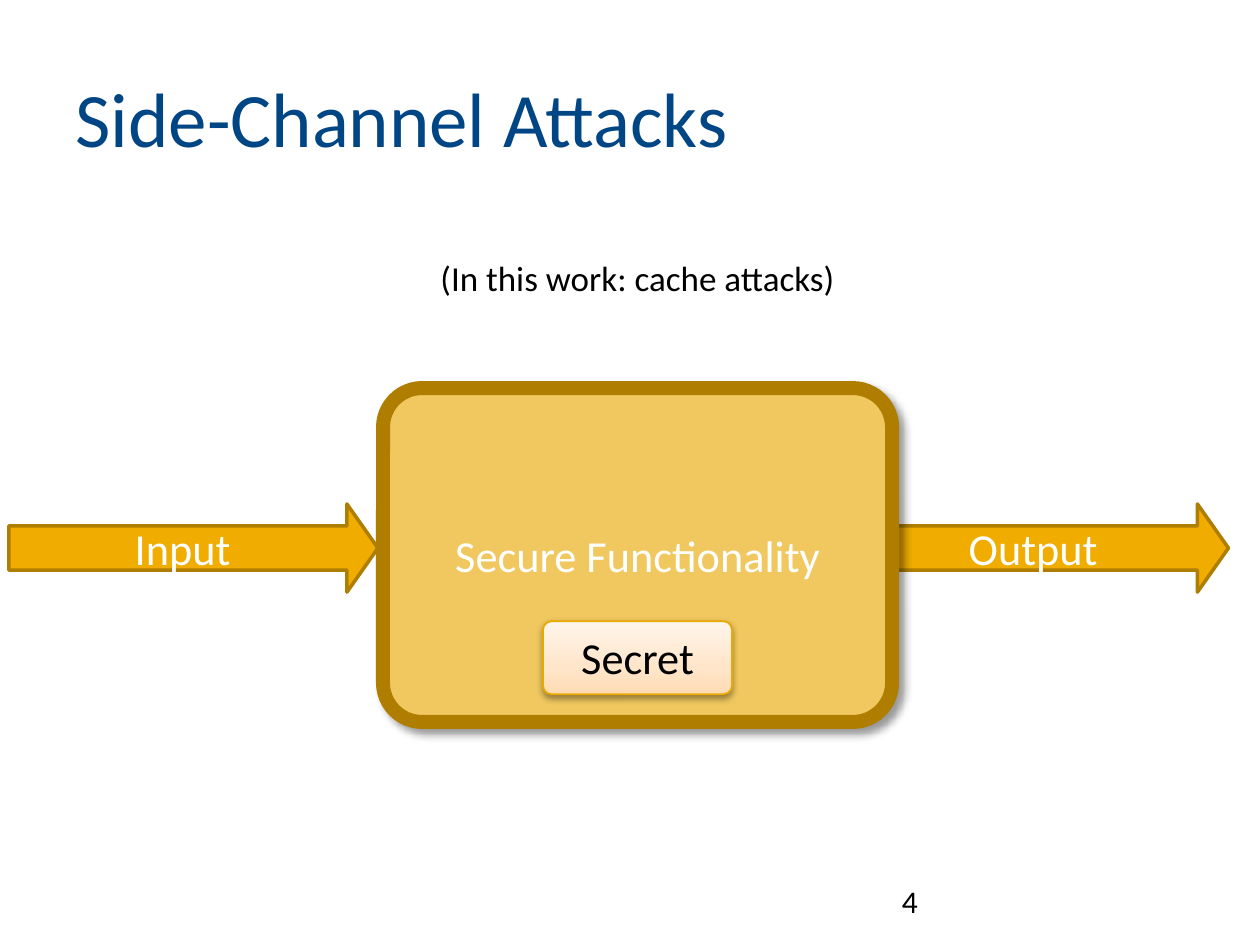
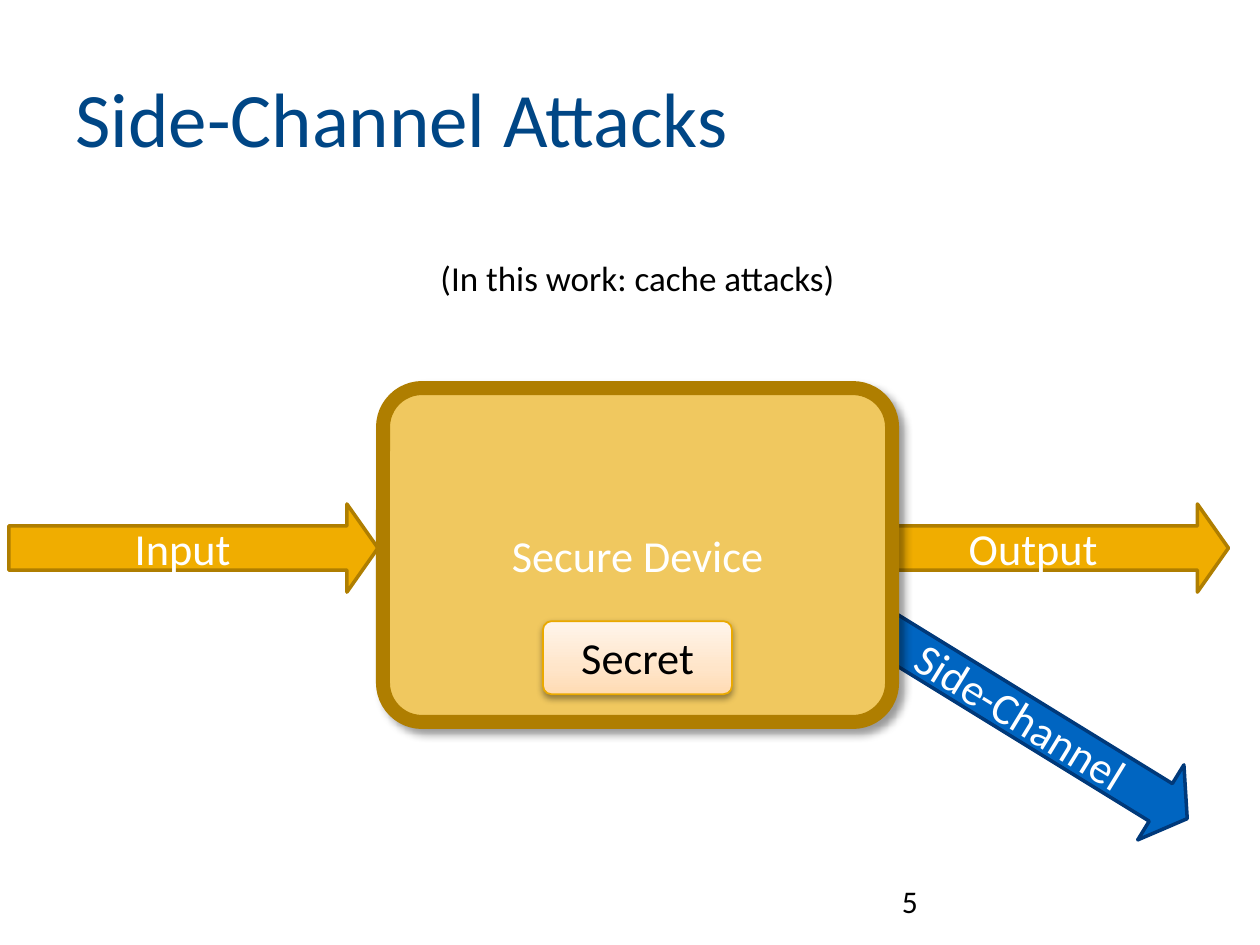
from lxml import etree
from pptx import Presentation
from pptx.dml.color import RGBColor
from pptx.enum.shapes import MSO_SHAPE
from pptx.enum.text import MSO_ANCHOR, PP_ALIGN
from pptx.oxml import parse_xml
from pptx.oxml.ns import nsdecls, qn
from pptx.util import Pt

SCALE = 9144
FONT = "Calibri"
LABEL_SIZE = 25.3
BLACK, WHITE, TITLE_BLUE = "000000", "FFFFFF", "004685"
GOLD, DARK_GOLD, PALE_GOLD, SECRET_EDGE = "F0AD00", "AF7E00", "F0C85F", "EAA900"
BLUE, DARK_BLUE = "0065C1", "00397A"
SECRET_STOPS = [(0, "FFDBB3"), (35, "FFE5C9"), (100, "FFF5EB")]

ARROW_WIDTH, ARROW_HEIGHT = 293, 70
DEVICE_BOX = (304, 308, 404, 265)


def px(length):
    return int(length * SCALE)


def colour(code):
    return RGBColor.from_string(code)


def add_text(parent, box, text, size, code, align=PP_ALIGN.CENTER,
             anchor=MSO_ANCHOR.MIDDLE, inset=(0, 0)):
    text_box = parent.shapes.add_textbox(*map(px, box))
    frame = text_box.text_frame
    frame.word_wrap = True
    frame.vertical_anchor = anchor
    frame.margin_left = frame.margin_right = px(inset[0])
    frame.margin_top = frame.margin_bottom = px(inset[1])
    frame.text = text
    para = frame.paragraphs[0]
    para.alignment = align
    font = para.runs[0].font
    font.name, font.size = FONT, Pt(size)
    font.color.rgb = colour(code)


def add_outline(parent, kind, box, adjustments, fill, line, weight):
    shape = parent.shapes.add_shape(kind, *map(px, box))
    for index, value in enumerate(adjustments):
        shape.adjustments[index] = value
    shape.shadow.inherit = False
    shape.fill.solid()
    shape.fill.fore_color.rgb = colour(fill)
    shape.line.color.rgb = colour(line)
    shape.line.width = Pt(weight)
    return shape


def add_shadow(shape, opacity, blur, distance, angle):
    effects = shape._element.spPr.find(qn("a:effectLst"))
    shadow = etree.SubElement(
        effects, qn("a:outerShdw"), blurRad=str(Pt(blur)), dist=str(Pt(distance)),
        dir=str(angle * 60000), rotWithShape="0")
    tint = etree.SubElement(shadow, qn("a:srgbClr"), val=BLACK)
    etree.SubElement(tint, qn("a:alpha"), val=str(opacity * 1000))


def set_gradient(shape, stops, angle):
    stop_xml = "".join(
        f'<a:gs pos="{place * 1000}"><a:srgbClr val="{code}"/></a:gs>'
        for place, code in stops)
    gradient = parse_xml(
        f'<a:gradFill {nsdecls("a")} rotWithShape="1"><a:gsLst>{stop_xml}</a:gsLst>'
        f'<a:lin ang="{angle * 60000}" scaled="0"/></a:gradFill>')
    properties = shape._element.spPr
    properties.replace(properties.find(qn("a:solidFill")), gradient)


def add_arrow(page, left, top, text, fill=GOLD, line=DARK_GOLD, rotation=0):
    group = page.shapes.add_group_shape()
    add_outline(group, MSO_SHAPE.RIGHT_ARROW, (left, top, ARROW_WIDTH, ARROW_HEIGHT),
                (0.5, 0.352), fill, line, 2)
    add_text(group, (left, top + 2, ARROW_WIDTH - 17, ARROW_HEIGHT - 5),
             text, LABEL_SIZE, WHITE)
    group.rotation = rotation


def add_device(page, box, text):
    left, top, width, height = box
    group = page.shapes.add_group_shape()
    device = add_outline(group, MSO_SHAPE.ROUNDED_RECTANGLE, box, (0.117,),
                         PALE_GOLD, DARK_GOLD, 8)
    add_shadow(device, 40, 5, 4, 45)
    add_text(group, (left + 13, top + 106, width - 26, 53), text, LABEL_SIZE, WHITE)
    add_secret(page, (left + 127, top + 185, 150, 58))


def add_secret(page, box):
    left, top, width, height = box
    group = page.shapes.add_group_shape()
    secret = add_outline(group, MSO_SHAPE.ROUNDED_RECTANGLE, box, (0.117,),
                         WHITE, SECRET_EDGE, 1)
    set_gradient(secret, SECRET_STOPS, 270)
    add_shadow(secret, 38, 4, 2, 90)
    add_text(group, (left + 3, top + 2, width - 6, height - 5),
             "Secret", LABEL_SIZE, BLACK)


def add_frame(page, number):
    add_text(page, (50, 30, 900, 125), "Side-Channel Attacks", 44, TITLE_BLUE,
             PP_ALIGN.LEFT, inset=(10, 5))
    add_text(page, (706, 695, 225, 40), str(number), 18, BLACK,
             PP_ALIGN.LEFT, MSO_ANCHOR.TOP, (10, 5))


def add_attack_page(deck, number, device_text, leaks=False):
    page = deck.slides.add_slide(deck.slide_layouts[6])
    if leaks:
        add_arrow(page, 671, 538, "Side-Channel", BLUE, DARK_BLUE, 31.6)
    add_frame(page, number)
    add_arrow(page, 7, 400, "Input")
    add_arrow(page, 682, 400, "Output")
    add_device(page, DEVICE_BOX, device_text)
    add_text(page, (304, 199, 404, 44), "(In this work: cache attacks)", 20, BLACK,
             anchor=MSO_ANCHOR.TOP, inset=(10, 5))


def main():
    deck = Presentation()
    deck.slide_width, deck.slide_height = px(1000), px(750)
    add_attack_page(deck, 4, "Secure Functionality")
    add_attack_page(deck, 5, "Secure Device", leaks=True)
    deck.save("out.pptx")


if __name__ == "__main__":
    main()
